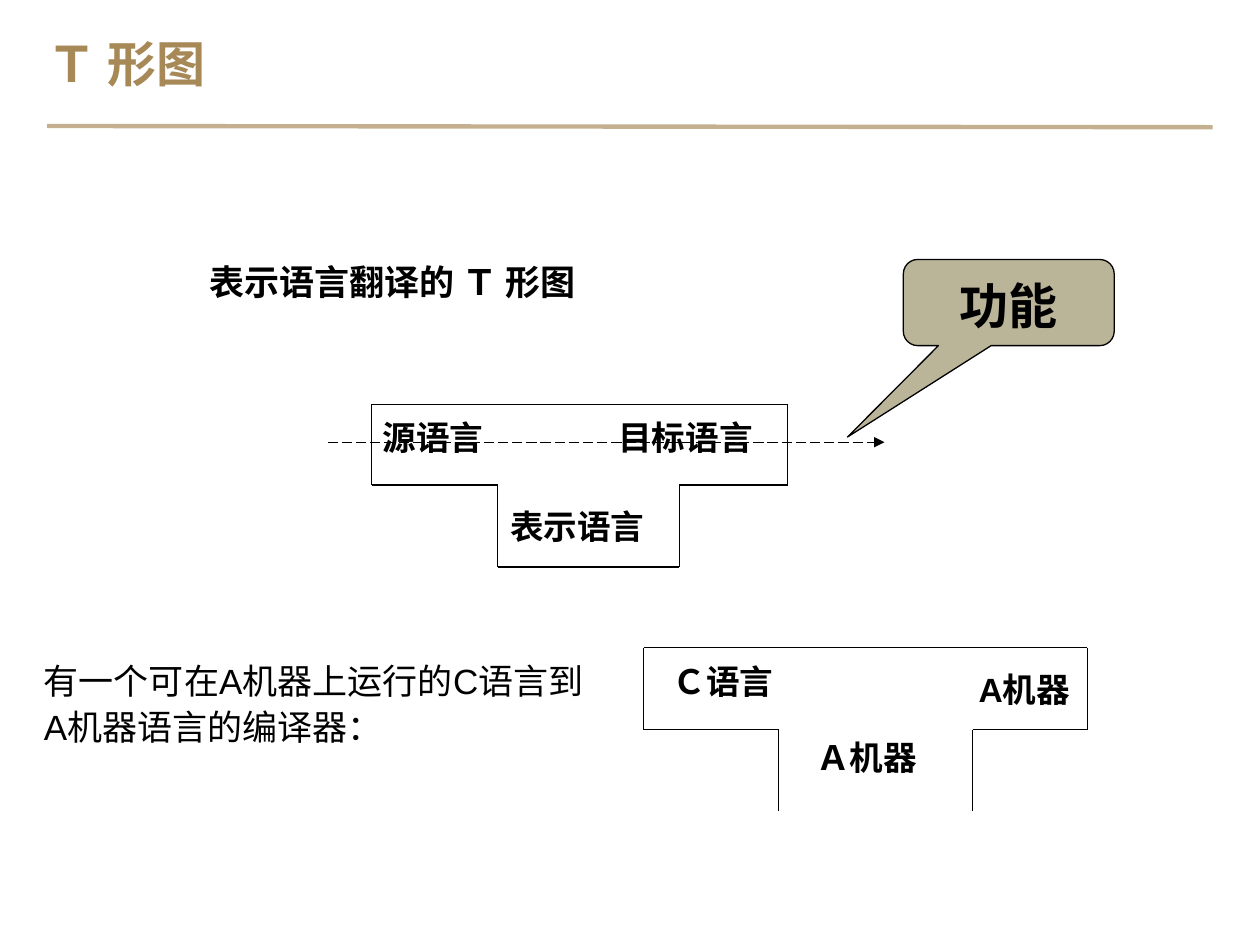
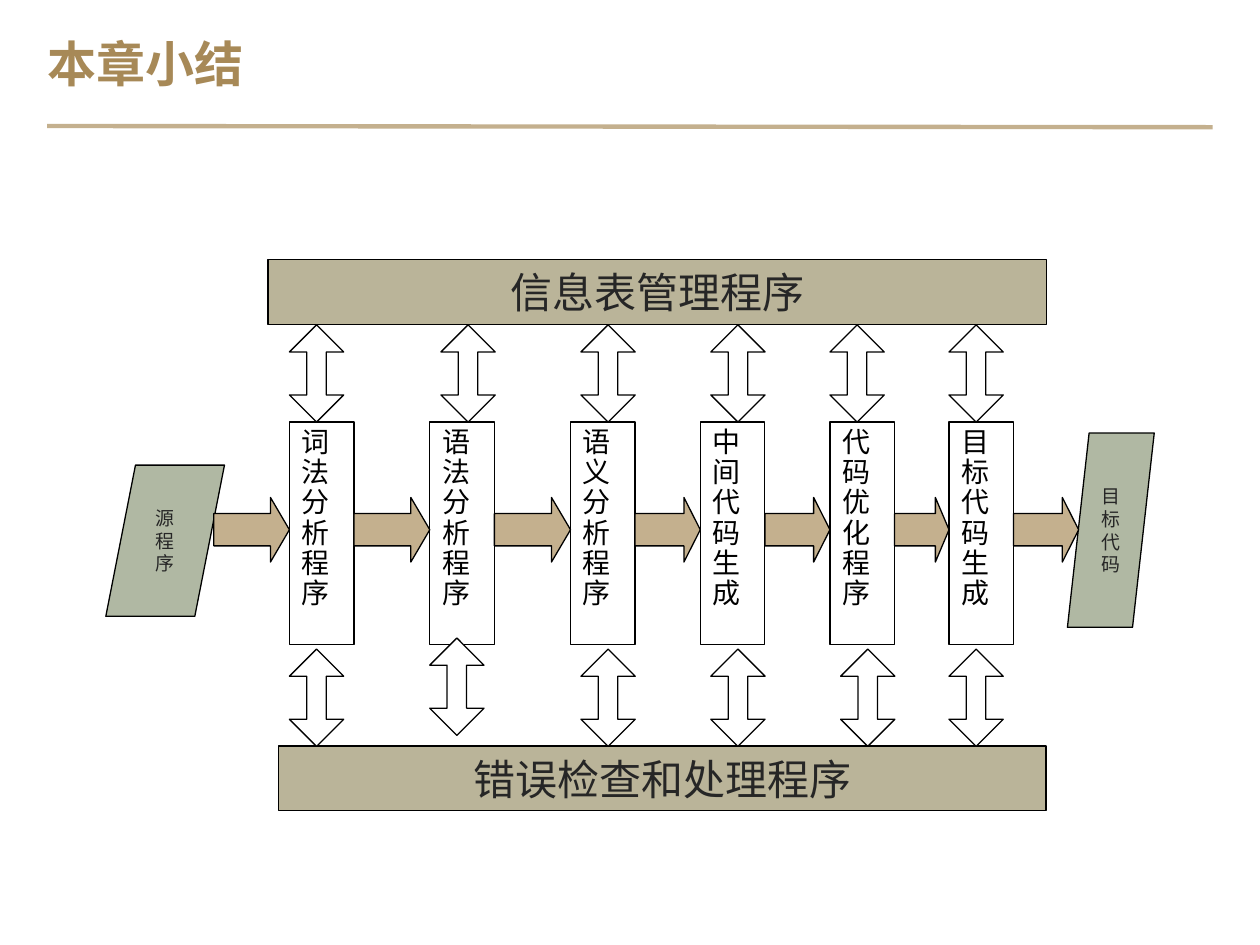
from lxml import etree
from pptx import Presentation
from pptx.dml.color import RGBColor
from pptx.enum.dml import MSO_LINE
from pptx.enum.shapes import MSO_CONNECTOR, MSO_SHAPE as SHAPE
from pptx.enum.text import MSO_ANCHOR as ANCHOR, PP_ALIGN as ALIGN
from pptx.oxml.ns import qn
from pptx.util import Pt

COLORS = {
    "title": "A78957",
    "tan": "C4B08E",
    "khaki": "BAB499",
    "sage": "B0B8A3",
    "white": "FFFFFF",
    "black": "000000",
    "dark": "262626",
}
FONT = "Arial"


def write(s, text, size=20, color="black", bold=False, align=ALIGN.LEFT,
          anchor=ANCHOR.TOP, wrap=True, spacing=1.0, margins=(7.2, 3.6, 7.2, 3.6)):
    """Fill a shape with text, one paragraph per line."""
    tf = s.text_frame
    tf.word_wrap = wrap
    tf.vertical_anchor = anchor
    tf.margin_left, tf.margin_top, tf.margin_right, tf.margin_bottom = map(Pt, margins)
    for i, words in enumerate(text.split("\n")):
        p = tf.add_paragraph() if i else tf.paragraphs[0]
        p.alignment = align
        p.line_spacing = spacing
        r = p.add_run()
        r.text = words
        r.font.name = FONT
        r.font.size = Pt(size)
        r.font.bold = bold
        r.font.color.rgb = RGBColor.from_string(COLORS[color])


def draw_line(slide, x1, y1, x2, y2, color="black", width=0.75):
    """Add a straight line without a shadow."""
    c = slide.shapes.add_connector(MSO_CONNECTOR.STRAIGHT, Pt(x1), Pt(y1), Pt(x2), Pt(y2))
    c.line.color.rgb = RGBColor.from_string(COLORS[color])
    c.line.width = Pt(width)
    etree.SubElement(c._element.spPr, qn("a:effectLst"))
    return c


prs = Presentation()
prs.slide_width, prs.slide_height = Pt(720), Pt(540)

# Title and rule shared by both slides
slides = []
for title in ("Ｔ 形图", "本章小结"):
    slide = prs.slides.add_slide(prs.slide_layouts[5])
    draw_line(slide, 27, 72, 693, 72.7, color="tan", width=2.5)
    sp = slide.shapes.title
    sp.left, sp.top, sp.width, sp.height = Pt(27), Pt(18), Pt(666), Pt(36)
    write(sp, title, size=28, color="title", bold=True, anchor=ANCHOR.MIDDLE,
          margins=(0, 0, 0, 0))
    slides.append(slide)
t_slide, summary = slides

# T diagrams: four x positions, three y positions, closed bottom or not
t_diagrams = [
    ((212.4, 284.4, 388.1, 450), (231.1, 277.2, 324), True),
    ((367.9, 445, 555.8, 621.4), (370.1, 416.9, 463.7), False),
]
for (left, stem_left, stem_right, right), (top, middle, bottom), closed in t_diagrams:
    edges = [
        (left, top, right, top),
        (left, top, left, middle),
        (right, top, right, middle),
        (left, middle, stem_left, middle),
        (stem_right, middle, right, middle),
        (stem_left, middle, stem_left, bottom),
        (stem_right, middle, stem_right, bottom),
    ]
    if closed:
        edges.append((stem_left, bottom, stem_right, bottom))
    for edge in edges:
        draw_line(t_slide, *edge)

# Dashed translation arrow
arrow = draw_line(t_slide, 187.2, 252.7, 505.4, 252.7)
arrow.line.dash_style = MSO_LINE.LONG_DASH
etree.SubElement(arrow.line._get_or_add_ln(), qn("a:tailEnd"), type="triangle")

# Text of the T diagram slide
label = dict(size=19.2, bold=True, wrap=False)
texts = [
    ("表示语言翻译的 Ｔ 形图", (105.1, 148.3, 558.7, 54.7),
     dict(bold=True, spacing=0.9, margins=(14.4, 3.6, 7.2, 3.6))),
    ("有一个可在A机器上运行的C语言到A机器语言的编译器：", (18, 370.8, 333.4, 108.7),
     dict(spacing=1.1)),
    ("源语言", (211.7, 234.7, 79.2, 33.1), label),
    ("表示语言", (284.4, 285.8, 100.8, 33.1), label),
    ("目标语言", (346.3, 234.7, 100.8, 33.1), label),
    ("Ｃ语言", (377.3, 374.4, 79.2, 33.1), label),
    ("Ａ机器", (459.4, 417.6, 79.2, 33.1), label),
    ("A机器", (552.2, 378.7, 73.4, 33.1), label),
]
for text, box, style in texts:
    write(t_slide.shapes.add_textbox(*map(Pt, box)), text, **style)

# Shapes: slide, kind, box, adjustments, fill, text, text style
centred = dict(color="dark", align=ALIGN.CENTER, anchor=ANCHOR.MIDDLE, wrap=False)
bar_style = dict(centred, size=24)
code_style = dict(centred, size=10.8)
stage_style = dict(size=16, spacing=0.9)
callout_style = dict(size=28, bold=True, align=ALIGN.CENTER, spacing=1.1)
parts = [
    (t_slide, SHAPE.ROUNDED_RECTANGULAR_CALLOUT, (516.2, 148.3, 120.5, 49.2),
     (-0.765, 1.562, 0.167), "khaki", "功能", callout_style),
    (summary, SHAPE.RECTANGLE, (153.2, 148.5, 444.8, 36.9), (), "khaki",
     "信息表管理程序", bar_style),
    (summary, SHAPE.RECTANGLE, (159.2, 426.4, 438.6, 36.9), (), "khaki",
     "错误检查和处理程序", bar_style),
    (summary, SHAPE.PARALLELOGRAM, (60.5, 265.8, 67.8, 86.4), (0.25,), "sage",
     "源\n程\n序", code_style),
    (summary, SHAPE.PARALLELOGRAM, (610, 247.5, 49.6, 111), (0.25,), "sage",
     "目\n标\n代\n码", code_style),
]

# Compiler stages
STAGE_W, ARROW_H = 36.9, 36.9
stages = ["词法分析程序", "语法分析程序", "语义分析程序",
          "中间代码生成", "代码优化程序", "目标代码生成"]
stage_x = [165.4, 245.6, 326, 400.2, 474.3, 542.3]
for text, x in zip(stages, stage_x):
    parts.append((summary, SHAPE.RECTANGLE, (x, 241.2, STAGE_W, 127.2), (), None,
                  text, stage_style))

# Flow arrows fill the gaps between stages; the head is a quarter of the length
starts = [122.2] + [x + STAGE_W for x in stage_x]
ends = stage_x + [616.4]
for start, end in zip(starts, ends):
    w = end - start
    head = 0.25 * w / min(w, ARROW_H)
    parts.append((summary, SHAPE.RIGHT_ARROW, (start, 284.3, w, ARROW_H), (0.5, head),
                  "tan", None, None))

# Two-way arrows to the bars above and below
upper = [(x, 185.6) for x in (165.4, 252, 332, 406.2, 474.3, 542.3)]
lower = [(x, 370.9) for x in (165.4, 332, 406.2, 480.4, 542.3)] + [(245.6, 364.6)]
for x, y in upper + lower:
    parts.append((summary, SHAPE.UP_DOWN_ARROW, (x, y, 31, 55.6), (0.5, 0.36),
                  "white", None, None))

for slide, kind, box, adjustments, fill, text, style in parts:
    s = slide.shapes.add_shape(kind, *map(Pt, box))
    s.shadow.inherit = False
    for i, value in enumerate(adjustments):
        s.adjustments[i] = value
    if fill:
        s.fill.solid()
        s.fill.fore_color.rgb = RGBColor.from_string(COLORS[fill])
    else:
        s.fill.background()
    s.line.color.rgb = RGBColor.from_string(COLORS["black"])
    s.line.width = Pt(0.75)
    if text:
        write(s, text, **style)

prs.save("out.pptx")
